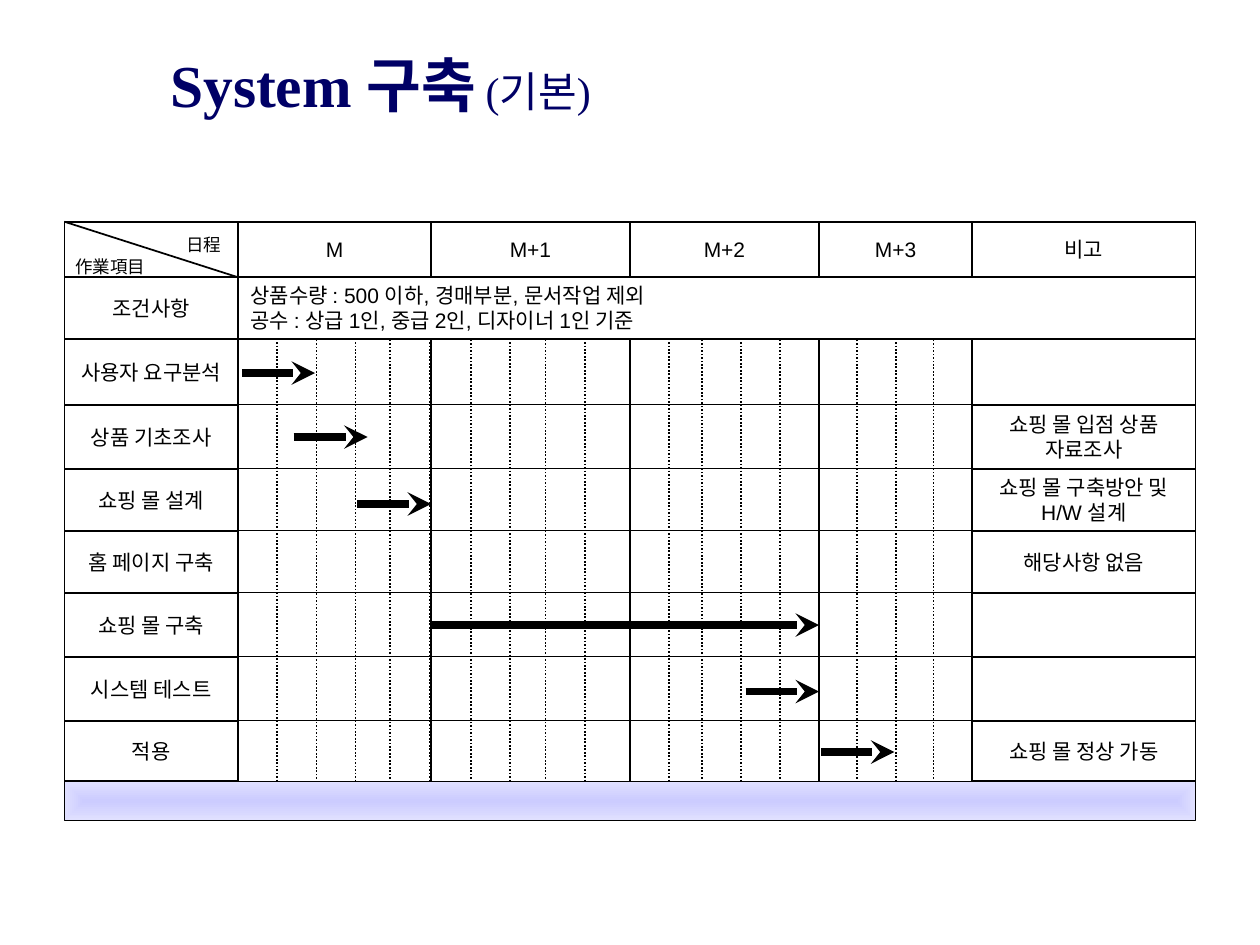
from lxml.etree import SubElement
from pptx import Presentation
from pptx.dml.color import RGBColor
from pptx.enum.dml import MSO_LINE
from pptx.enum.shapes import MSO_CONNECTOR, MSO_SHAPE
from pptx.enum.text import MSO_ANCHOR, MSO_AUTO_SIZE, PP_ALIGN
from pptx.oxml.ns import qn
from pptx.util import Cm, Pt

BLACK = RGBColor(0x00, 0x00, 0x00)
WHITE = RGBColor(0xFF, 0xFF, 0xFF)
NAVY = RGBColor(0x00, 0x00, 0x66)
LAVENDER = RGBColor(0xCC, 0xCC, 0xFF)
PALE_LAVENDER = RGBColor(0xE0, 0xE0, 0xFF)

# Grid edges in centimetres
COLUMNS = [1.3, 4.8, 8.69, 12.7, 16.51, 19.6, 24.1]
ROWS = [4.47, 5.59, 6.83, 8.16, 9.45, 10.7, 11.95, 13.24, 14.53, 15.75]
WEEK_STARTS = [4.8, 6.38, 7.87, 9.5, 11, 12.7, 14.15, 15.72, 17.27, 18.82]
WEEK_WIDTH = 0.79

HEADINGS = ["M", "M+1", "M+2", "M+3", "비고"]
CONDITIONS = ("상품수량 : 500 이하, 경매부분, 문서작업 제외\n"
              "공수 : 상급 1인, 중급 2인, 디자이너 1인 기준")
# Task, remark, and the start, end and height of its arrow
TASKS = [
    ("사용자 요구분석", "", (4.88, 6.35, 7.52)),
    ("상품 기초조사", "쇼핑 몰 입점 상품\n자료조사", (5.92, 7.41, 8.81)),
    ("쇼핑 몰 설계", "쇼핑 몰 구축방안 및\nH/W 설계", (7.2, 8.69, 10.16)),
    ("홈 페이지 구축", "해당사항 없음", None),
    ("쇼핑 몰 구축", "", (8.69, 16.51, 12.6)),
    ("시스템 테스트", "", (15.03, 16.51, 13.94)),
    ("적용", "쇼핑 몰 정상 가동", (16.56, 18.03, 15.16)),
]


def format_text(frame, size, align):
    frame.word_wrap = False
    for paragraph in frame.paragraphs:
        paragraph.alignment = align
        for run in paragraph.runs:
            run.font.size = Pt(size)
            run.font.name = "Arial"
            run.font.color.rgb = BLACK


def add_box(slide, left, top, right, bottom, text="", align=PP_ALIGN.CENTER,
            line_width=1):
    box = slide.shapes.add_shape(MSO_SHAPE.RECTANGLE, Cm(left), Cm(top),
                                 Cm(right - left), Cm(bottom - top))
    box.shadow.inherit = False
    box.fill.solid()
    box.fill.fore_color.rgb = WHITE
    box.line.color.rgb = BLACK
    box.line.width = Pt(line_width)
    if text:
        box.text_frame.text = text
        box.text_frame.vertical_anchor = MSO_ANCHOR.MIDDLE
        format_text(box.text_frame, 12, align)
    return box


def add_line(slide, x1, y1, x2, y2, width=0.75, arrow=False):
    line = slide.shapes.add_connector(MSO_CONNECTOR.STRAIGHT,
                                      Cm(x1), Cm(y1), Cm(x2), Cm(y2))
    line.line.color.rgb = BLACK
    line.line.width = Pt(width)
    if arrow:
        SubElement(line.line._get_or_add_ln(), qn("a:tailEnd"), type="stealth")
    SubElement(line._element.spPr, qn("a:effectLst"))


def add_corner_label(slide, left, top, width, text):
    label = slide.shapes.add_textbox(Cm(left), Cm(top), Cm(width), Cm(0.69))
    label.text_frame.text = text
    format_text(label.text_frame, 10, PP_ALIGN.LEFT)


def add_title(slide):
    title = slide.shapes.title
    title.left, title.top = Cm(3.18), Cm(0.84)
    title.width, title.height = Cm(11), Cm(1.7)
    frame = title.text_frame
    frame.word_wrap = True
    frame.auto_size = MSO_AUTO_SIZE.NONE
    frame.vertical_anchor = MSO_ANCHOR.TOP
    paragraph = frame.paragraphs[0]
    paragraph.alignment = PP_ALIGN.LEFT
    for text, size, bold in [("System 구축", 34, True), (" (기본)", 24, False)]:
        run = paragraph.add_run()
        run.text = text
        run.font.name = "Times New Roman"
        run.font.size = Pt(size)
        run.font.bold = bold
        run.font.color.rgb = NAVY


def add_weeks(slide):
    for start in WEEK_STARTS:
        week = add_box(slide, start, 5.64, start + WEEK_WIDTH, 15.8)
        week.line.dash_style = MSO_LINE.ROUND_DOT


def add_header(slide):
    # Corner cell split by a diagonal
    add_box(slide, COLUMNS[0], ROWS[0], COLUMNS[1], ROWS[1])
    add_line(slide, COLUMNS[0], ROWS[0], COLUMNS[1], ROWS[1], 1)
    add_corner_label(slide, 3.51, 4.6, 1.22, "日程")
    add_corner_label(slide, 1.27, 5.03, 1.93, "作業項目")
    for heading, left, right in zip(HEADINGS, COLUMNS[1:], COLUMNS[2:]):
        add_box(slide, left, ROWS[0], right, ROWS[1], heading)
    # Conditions row
    add_box(slide, COLUMNS[0], ROWS[1], COLUMNS[1], ROWS[2], "조건사항")
    add_box(slide, COLUMNS[1], ROWS[1], COLUMNS[-1], ROWS[2], CONDITIONS,
            PP_ALIGN.LEFT)


def add_schedule(slide):
    # Task names and remarks
    for (task, remark, _), top, bottom in zip(TASKS, ROWS[2:], ROWS[3:]):
        add_box(slide, COLUMNS[0], top, COLUMNS[1], bottom, task)
        add_box(slide, COLUMNS[5], top, COLUMNS[6], bottom, remark)
    # Row and month separators
    for y in ROWS[3:-1]:
        add_line(slide, COLUMNS[1], y, COLUMNS[-1], y)
    for x in COLUMNS[2:5]:
        add_line(slide, x, ROWS[2], x, ROWS[-1])
    # Task periods
    for _, _, period in TASKS:
        if period:
            start, end, y = period
            add_line(slide, start, y, end, y, 4.5, arrow=True)


def add_footer_bar(slide):
    bar = add_box(slide, COLUMNS[0], ROWS[-1], COLUMNS[-1], 16.54,
                  line_width=0.75)
    bar.fill.gradient()
    for stop, color, position in zip(bar.fill.gradient_stops,
                                     (LAVENDER, PALE_LAVENDER), (0, 1)):
        stop.color.rgb = color
        stop.position = position
    # Shade outwards from the centre
    gradient = bar._element.spPr.find(qn("a:gradFill"))
    gradient.remove(gradient.find(qn("a:lin")))
    shade = SubElement(gradient, qn("a:path"), path="rect")
    SubElement(shade, qn("a:fillToRect"),
               l="50000", t="50000", r="50000", b="50000")


def main():
    presentation = Presentation()
    presentation.slide_width, presentation.slide_height = Cm(25.4), Cm(19.05)
    slide = presentation.slides.add_slide(presentation.slide_layouts[5])
    add_title(slide)
    add_weeks(slide)
    add_header(slide)
    add_schedule(slide)
    add_footer_bar(slide)
    presentation.save("out.pptx")


if __name__ == "__main__":
    main()
